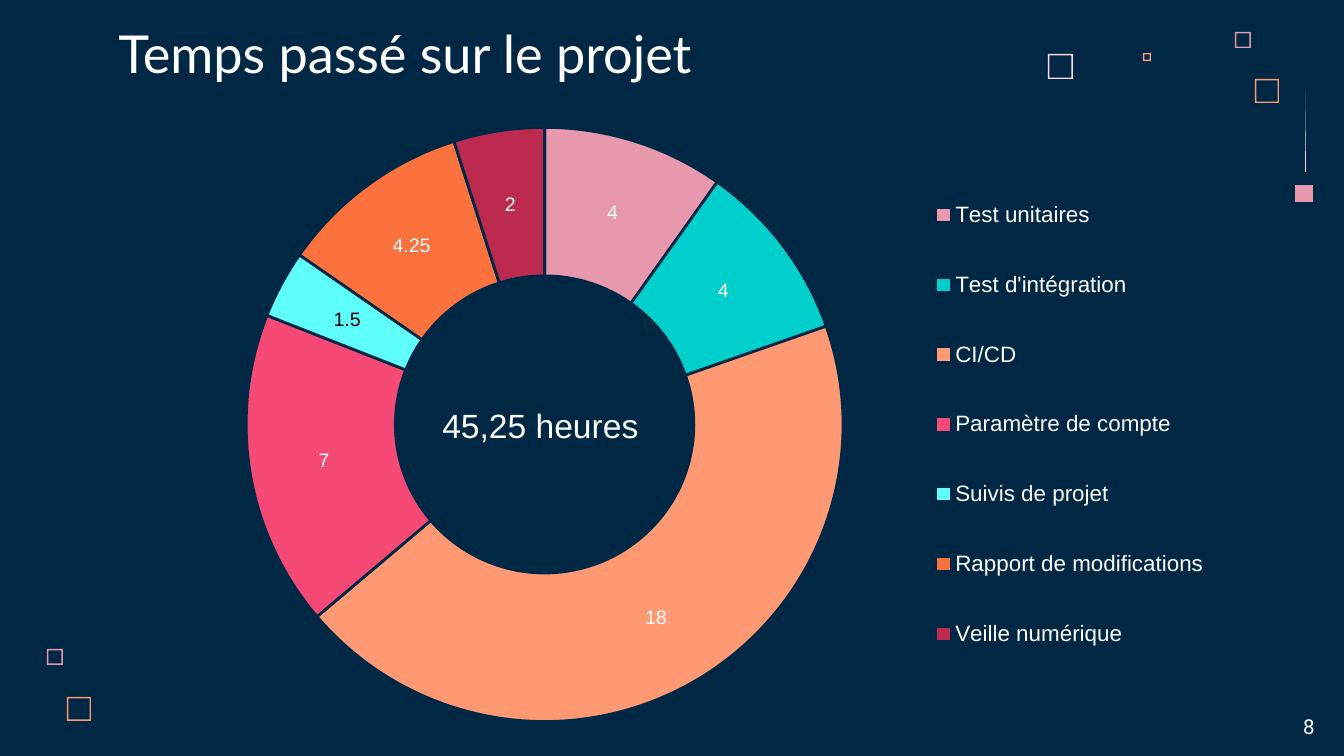
from lxml import etree
from pptx import Presentation
from pptx.chart.data import CategoryChartData
from pptx.dml.color import RGBColor
from pptx.enum.chart import XL_CHART_TYPE, XL_LEGEND_POSITION
from pptx.enum.text import MSO_ANCHOR, PP_ALIGN
from pptx.oxml.ns import qn
from pptx.util import Pt

DOUGHNUT = XL_CHART_TYPE.DOUGHNUT
RIGHT = XL_LEGEND_POSITION.RIGHT
TOP = MSO_ANCHOR.TOP
LEFT = PP_ALIGN.LEFT

EMU_PER_PX = 914400 / 134.4
WIDTH, HEIGHT = 1344, 756

NAVY = RGBColor(0x00, 0x28, 0x45)
WHITE = RGBColor(0xFF, 0xFF, 0xFF)
BLACK = RGBColor(0x00, 0x00, 0x00)
PALE = RGBColor(0xFF, 0xD6, 0xE1)
PINK = RGBColor(0xE8, 0x98, 0xAC)
PEACH = RGBColor(0xFF, 0x99, 0x73)
TEAL = RGBColor(0x00, 0xCF, 0xCC)
ROSE = RGBColor(0xF6, 0x49, 0x75)
CYAN = RGBColor(0x5E, 0xFF, 0xFD)
ORANGE = RGBColor(0xFC, 0x72, 0x3F)
CRIMSON = RGBColor(0xBC, 0x2A, 0x4F)

TITLE = "Temps passé sur le projet"
TITLE_BOX = (105, 8, 1133, 85)
TITLE_FONT = {"name": "Lato", "size": Pt(28), "bold": False}

# task, hours, slice colour, label colour
TASKS = [
    ("Test unitaires", 4, PINK, WHITE),
    ("Test d'intégration", 4, TEAL, WHITE),
    ("CI/CD", 18, PEACH, WHITE),
    ("Paramètre de compte", 7, ROSE, WHITE),
    ("Suivis de projet", 1.5, CYAN, BLACK),
    ("Rapport de modifications", 4.25, ORANGE, WHITE),
    ("Veille numérique", 2, CRIMSON, WHITE),
]
CHART_BOX = (203, 126, 1020, 597)
PLOT_LAYOUT = (0, 0, 0.67, 1)
LEGEND_LAYOUT = (0.71, 0.05, 0.28, 0.9)
LABEL_FONT = {"name": "Arial", "size": Pt(10.5)}
LEGEND_FONT = {"name": "Arial", "size": Pt(12)}

# text, box, font
NOTES = [
    ("8", (1290, 707, 54, 39), {"name": "Roboto", "size": Pt(11)}),
    ("45,25 heures", (429, 398, 224, 54), {"name": "Arial", "size": Pt(18)}),
]

# left, top, side, colour
FRAMES = [
    (1048, 54, 25, PALE),
    (1235, 32, 16, PINK),
    (1143, 53, 8, PEACH),
    (1255, 79, 24, PEACH),
    (47, 649, 16, PINK),
    (67, 697, 24, PEACH),
]
FRAME_LINE = 1.4
MARKER = [(1295, 185), (1295, 202), (1313, 202), (1313, 185)]
NEEDLE = [(1305, 92), (1305, 172), (1306, 172)]


def px(*lengths):
    return [round(n * EMU_PER_PX) for n in lengths]


def set_font(font, values, color):
    for name, value in values.items():
        setattr(font, name, value)
    font.color.rgb = color


def square(left, top, side):
    right, bottom = left + side, top + side
    return [(left, top), (left, bottom), (right, bottom), (right, top)]


def add_outline(slide, contours, color):
    first, *others = [[px(*point) for point in c] for c in contours]
    builder = slide.shapes.build_freeform(*first[0], scale=1.0)
    builder.add_line_segments(first[1:], close=True)
    for contour in others:
        builder.move_to(*contour[0])
        builder.add_line_segments(contour[1:], close=True)
    sp = builder.convert_to_shape()
    sp.shadow.inherit = False
    sp.fill.solid()
    sp.fill.fore_color.rgb = color
    sp.line.fill.background()


def add_decoration(slide):
    for left, top, side, color in FRAMES:
        inner = square(left + FRAME_LINE, top + FRAME_LINE, side - 2 * FRAME_LINE)
        add_outline(slide, [square(left, top, side), inner[::-1]], color)
    add_outline(slide, [MARKER], PINK)
    add_outline(slide, [NEEDLE], PALE)


def add_title(slide):
    title = slide.shapes.title
    title.left, title.top, title.width, title.height = px(*TITLE_BOX)
    tf = title.text_frame
    tf.text = TITLE
    tf.vertical_anchor = TOP
    tf.margin_top = tf.margin_bottom = tf.margin_left = tf.margin_right = px(13.44)[0]
    p = tf.paragraphs[0]
    p.alignment = LEFT
    set_font(p.runs[0].font, TITLE_FONT, WHITE)


def set_layout(element, values, inner=False):
    """Place a plot area or legend by fractions of the chart."""
    for old in element.findall(qn("c:layout")):
        element.remove(old)
    layout = etree.Element(qn("c:layout"))
    manual = etree.SubElement(layout, qn("c:manualLayout"))
    settings = [("layoutTarget", "inner")] if inner else []
    settings += [("xMode", "edge"), ("yMode", "edge"), *zip("xywh", values)]
    for tag, value in settings:
        etree.SubElement(manual, qn(f"c:{tag}")).set("val", str(value))
    position = element.find(qn("c:legendPos"))
    if position is None:
        element.insert(0, layout)
    else:
        position.addnext(layout)


def add_time_chart(slide):
    data = CategoryChartData()
    data.categories = [task[0] for task in TASKS]
    data.add_series("Series 1", [task[1] for task in TASKS])
    chart = slide.shapes.add_chart(DOUGHNUT, *px(*CHART_BOX), data).chart
    chart.has_title = False
    set_font(chart.font, {"name": "Arial", "size": Pt(10)}, WHITE)

    chart.has_legend = True
    legend = chart.legend
    legend.position = RIGHT
    legend.include_in_layout = False
    set_font(legend.font, LEGEND_FONT, WHITE)

    plot = chart.plots[0]
    plot.vary_by_categories = True
    series = plot.series[0]
    labels = series.data_labels
    labels.show_value = True
    labels.show_percentage = False
    set_font(labels.font, LABEL_FONT, WHITE)
    for i, (_, _, color, label_color) in enumerate(TASKS):
        point = series.points[i]
        point.format.fill.solid()
        point.format.fill.fore_color.rgb = color
        point.format.line.color.rgb = NAVY
        point.format.line.width = Pt(1.5)
        if label_color != WHITE:
            set_font(point.data_label.font, LABEL_FONT, label_color)

    plot_area = chart._chartSpace.chart.plotArea
    plot_area.find(".//" + qn("c:holeSize")).set("val", "75")
    set_layout(plot_area, PLOT_LAYOUT, inner=True)
    set_layout(chart._chartSpace.chart.find(qn("c:legend")), LEGEND_LAYOUT)


def add_note(slide, text, box, font):
    tf = slide.shapes.add_textbox(*px(*box)).text_frame
    tf.text = text
    set_font(tf.paragraphs[0].runs[0].font, font, WHITE)


def main():
    prs = Presentation()
    prs.slide_width, prs.slide_height = px(WIDTH, HEIGHT)
    slide = prs.slides.add_slide(prs.slide_layouts[5])
    slide.background.fill.solid()
    slide.background.fill.fore_color.rgb = NAVY
    add_decoration(slide)
    add_title(slide)
    add_time_chart(slide)
    for note in NOTES:
        add_note(slide, *note)
    prs.save("out.pptx")


if __name__ == "__main__":
    main()
